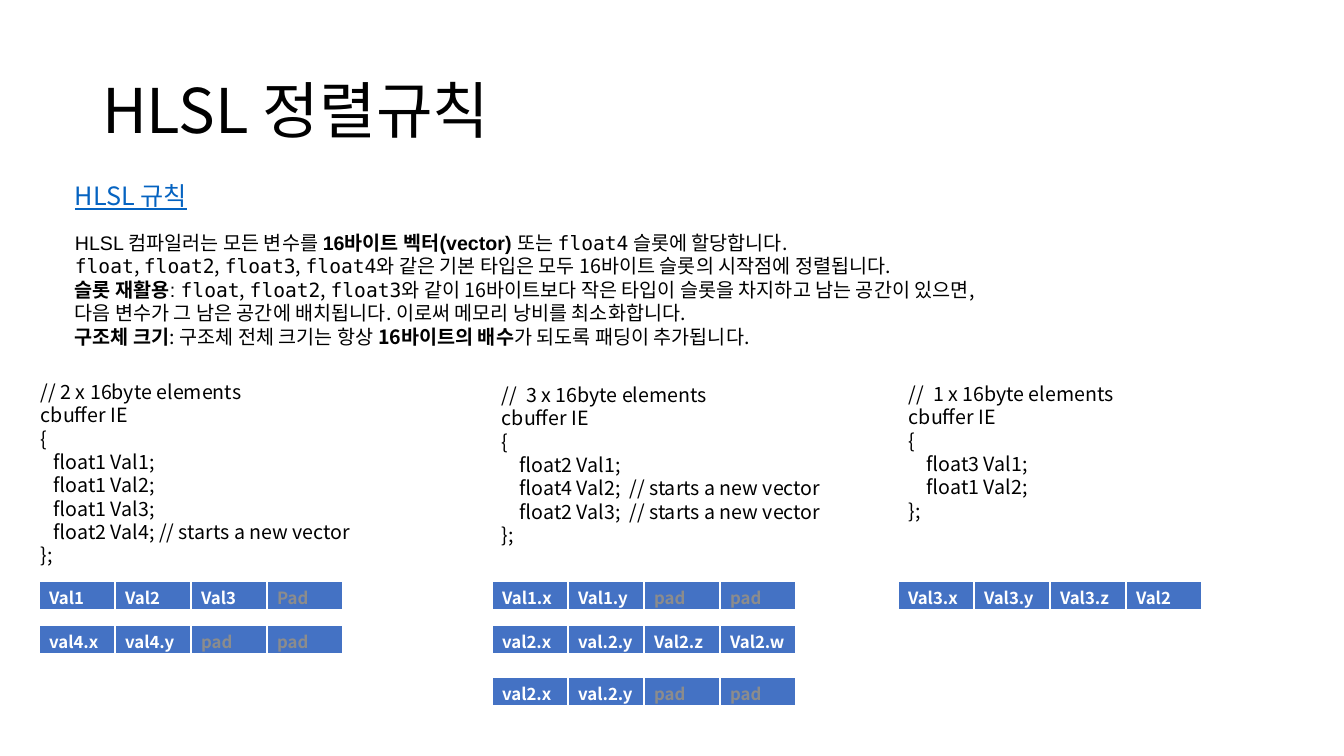
from lxml import etree
from pptx import Presentation
from pptx.dml.color import RGBColor
from pptx.enum.text import MSO_ANCHOR, PP_ALIGN
from pptx.oxml.ns import qn
from pptx.util import Pt

MIDDLE, TOP = MSO_ANCHOR.MIDDLE, MSO_ANCHOR.TOP
LEFT = PP_ALIGN.LEFT
BLACK = RGBColor(0x00, 0x00, 0x00)
WHITE = RGBColor(0xFF, 0xFF, 0xFF)
GRAY = RGBColor(0x8C, 0x8C, 0x8C)
BLUE = RGBColor(0x44, 0x72, 0xC4)
LINK = RGBColor(0x05, 0x63, 0xC1)
SANS, ARIAL, MONO = "Noto Sans CJK KR", "Arial", "DejaVu Sans Mono"
EMU_PER_PX = 914400 / 100.8
COL_W, ROW_H = 76, 30
SLOT_TOPS = (581, 625, 677)

# Rules: one list of (text, font, bold) runs per paragraph
COMMA = (", ", SANS, False)
FLOAT, FLOAT2, FLOAT3, FLOAT4 = [
    (name, MONO, False) for name in ("float", "float2", "float3", "float4")]
RULES = [
    [("HLSL 컴파일러는 모든 변수를 ", ARIAL, False), ("16바이트 벡터(vector)", ARIAL, True),
     (" 또는 ", ARIAL, False), FLOAT4, (" 슬롯에 할당합니다.", SANS, False)],
    [FLOAT, COMMA, FLOAT2, COMMA, FLOAT3, COMMA, FLOAT4,
     ("와 같은 기본 타입은 모두 16바이트 슬롯의 시작점에 정렬됩니다.", SANS, False)],
    [("슬롯 재활용", ARIAL, True), (": ", ARIAL, False),
     FLOAT, COMMA, FLOAT2, COMMA, FLOAT3,
     ("와 같이 16바이트보다 작은 타입이 슬롯을 차지하고 남는 공간이 있으면, "
      "다음 변수가 그 남은 공간에 배치됩니다. 이로써 메모리 낭비를 최소화합니다.", SANS, False)],
    [("구조체 크기", SANS, True), (": 구조체 전체 크기는 항상 ", SANS, False),
     ("16바이트의 배수", SANS, True), ("가 되도록 패딩이 추가됩니다.", SANS, False)],
]

# Examples: code left, code top, indent, slots left, comment, members, slots
EXAMPLES = [
    (31, 375, 13, 39, "// 2 x 16byte elements",
     ["float1 Val1;", "float1 Val2;", "float1 Val3;",
      "float2 Val4; // starts a new vector"],
     ["Val1 Val2 Val3 Pad", "val4.x val4.y pad pad"]),
    (492, 378, 18, 492, "//  3 x 16byte elements",
     ["float2 Val1;", "float4 Val2;  // starts a new vector",
      "float2 Val3;  // starts a new vector"],
     ["Val1.x Val1.y pad pad", "val2.x val.2.y Val2.z Val2.w",
      "val2.x val.2.y pad pad"]),
    (899, 377, 18, 898, "//  1 x 16byte elements",
     ["float3 Val1;", "float1 Val2;"],
     ["Val3.x Val3.y Val3.z Val2"]),
]


def px(n):
    return round(n * EMU_PER_PX)


def add_run(p, text, size, font=SANS, color=BLACK, bold=False):
    r = p.add_run()
    r.text = text
    r.font.size = Pt(size)
    r.font.name = font
    r.font.bold = bold
    r.font.color.rgb = color
    return r


def add_text_box(s, x, y, w, h, anchor=TOP):
    tf = s.shapes.add_textbox(px(x), px(y), px(w), px(h)).text_frame
    tf.word_wrap = True
    tf.vertical_anchor = anchor
    return tf


def add_paragraph(tf, i, spacing=16.7):
    p = tf.add_paragraph() if i else tf.paragraphs[0]
    p.alignment = LEFT
    p.line_spacing = Pt(spacing)
    return p


def set_title(s, text):
    title = s.shapes.title
    title.left, title.top, title.width, title.height = px(92), px(41), px(1159), px(146)
    tf = title.text_frame
    tf.vertical_anchor = MIDDLE
    p = tf.paragraphs[0]
    p.alignment = LEFT
    p.line_spacing = 0.9
    add_run(p, text, 44)


def add_link_heading(s, text):
    tf = add_text_box(s, 65, 175, 147, 40)
    add_run(add_paragraph(tf, 0, 21.6), text, 18, color=LINK).font.underline = True


def add_rules(s):
    tf = add_text_box(s, 65, 225, 926, 129, MIDDLE)
    for i, runs in enumerate(RULES):
        p = add_paragraph(tf, i)
        for text, font, bold in runs:
            add_run(p, text, 14, font, bold=bold)


def add_code(s, x, y, indent, comment, members):
    lines = [comment, "cbuffer IE", "{", *members, "};"]
    tf = add_text_box(s, x, y, 361, 24 * len(lines) + 8)
    for i, line in enumerate(lines):
        p = add_paragraph(tf, i)
        if line in members:
            p._p.get_or_add_pPr().set("marL", str(px(indent)))
        add_run(p, line, 14)


def set_borders(cell):
    tcPr = cell._tc.get_or_add_tcPr()
    for i, (side, width) in enumerate((("L", 1), ("R", 1), ("T", 1), ("B", 3))):
        ln = etree.Element(qn("a:ln" + side), w=str(Pt(width)))
        fill = etree.SubElement(ln, qn("a:solidFill"))
        etree.SubElement(fill, qn("a:srgbClr"), val=str(WHITE))
        tcPr.insert(i, ln)


def add_slots(s, x, y, names):
    frame = s.shapes.add_table(1, len(names), px(x), px(y),
                               px(COL_W * len(names)), px(ROW_H))
    table = frame.table
    table.first_row = table.horz_banding = False
    for i, name in enumerate(names):
        cell = table.cell(0, i)
        cell.margin_top, cell.margin_bottom = px(8), px(1)
        cell.fill.solid()
        cell.fill.fore_color.rgb = BLUE
        set_borders(cell)
        color = GRAY if name.lower() == "pad" else WHITE
        add_run(add_paragraph(cell.text_frame, 0, 14.4), name, 12, color=color, bold=True)


def main():
    prs = Presentation()
    prs.slide_width, prs.slide_height = px(1344), px(756)
    s = prs.slides.add_slide(prs.slide_layouts[5])

    # Title and explanation
    set_title(s, "HLSL 정렬규칙")
    add_rules(s)
    add_link_heading(s, "HLSL 규칙")

    # Code examples with their 16-byte slots
    for code_x, code_y, indent, slots_x, comment, members, slots in EXAMPLES:
        add_code(s, code_x, code_y, indent, comment, members)
        for y, names in zip(SLOT_TOPS, slots):
            add_slots(s, slots_x, y, names.split())

    prs.save("out.pptx")


if __name__ == "__main__":
    main()
